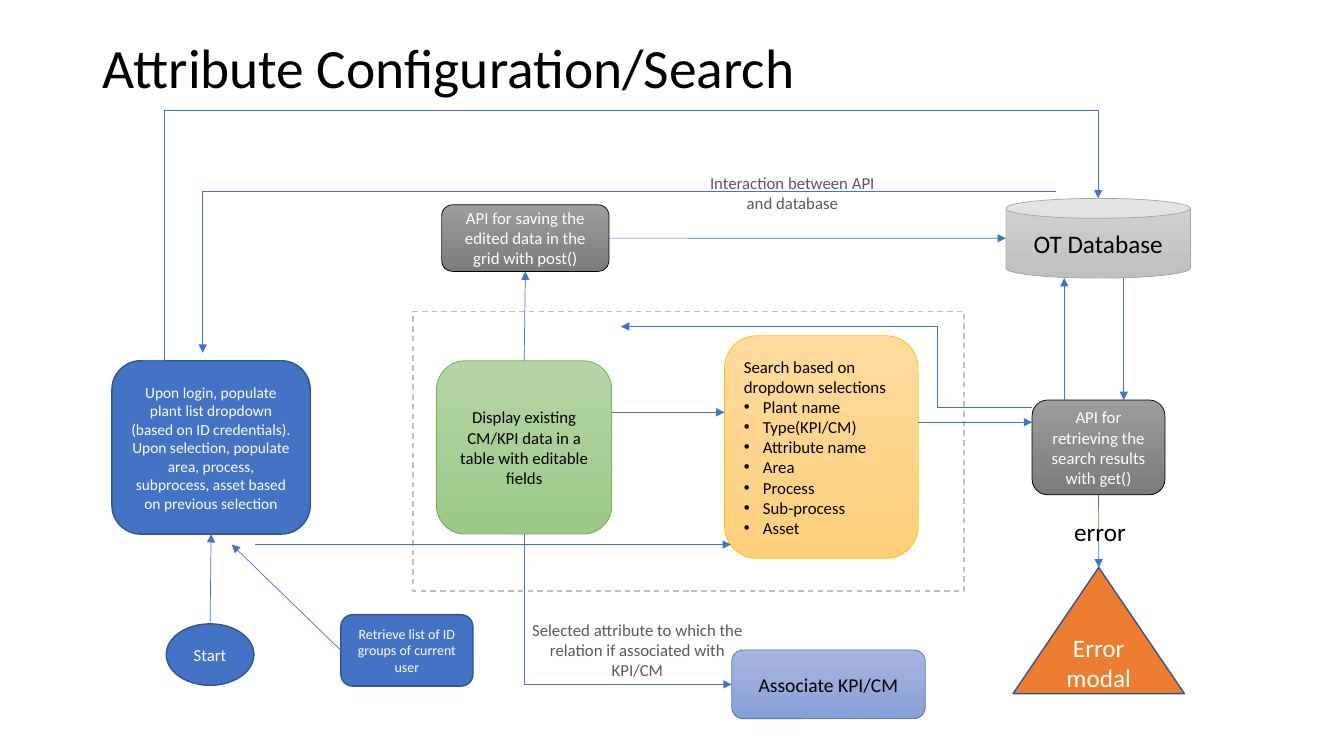
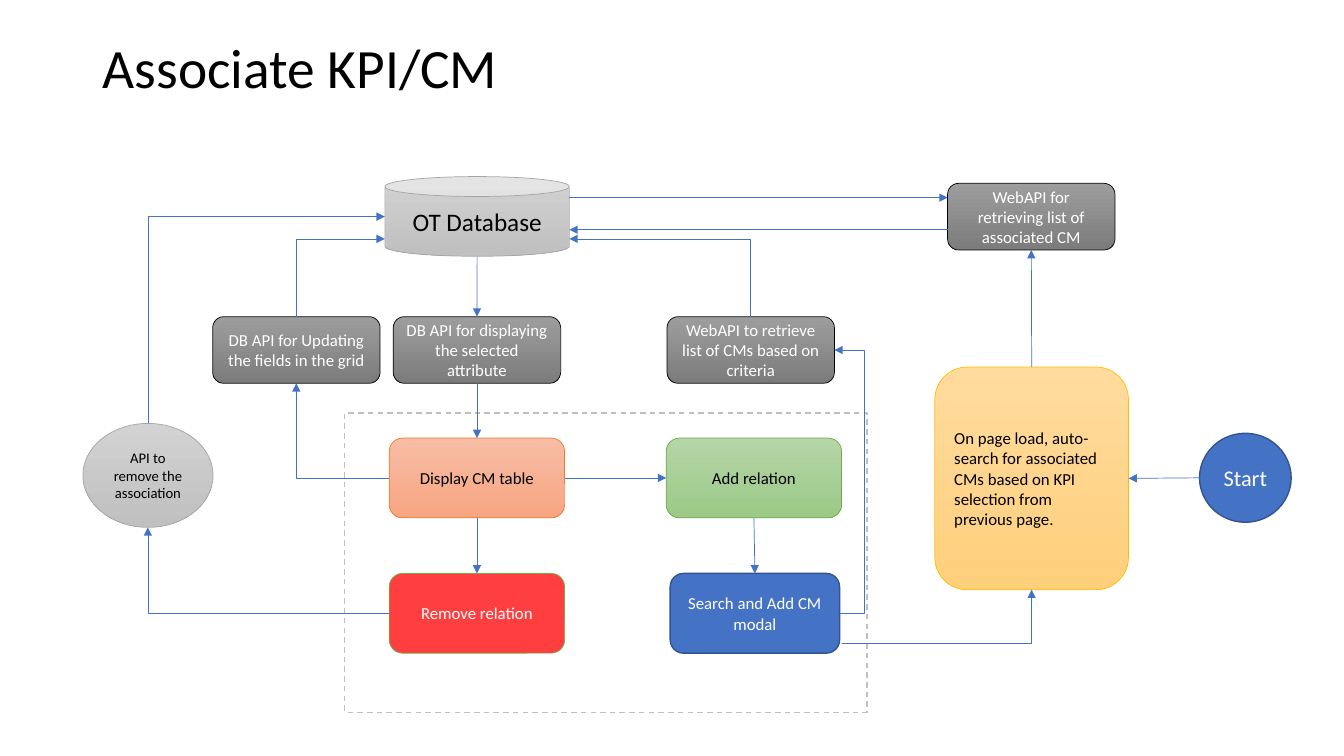
from dataclasses import dataclass

from lxml import etree
from pptx import Presentation
from pptx.dml.color import RGBColor
from pptx.enum.dml import MSO_LINE
from pptx.enum.shapes import MSO_CONNECTOR as LINK, MSO_SHAPE as SHAPE
from pptx.enum.text import MSO_ANCHOR, MSO_AUTO_SIZE, PP_ALIGN
from pptx.oxml.ns import qn
from pptx.util import Cm, Pt


@dataclass(frozen=True)
class Theme:
    font: str = "Calibri"
    black: str = "000000"
    white: str = "FFFFFF"
    muted: str = "595959"
    accent: str = "4472C4"
    accent_edge: str = "325491"
    frame: str = "BFBFBF"
    green: tuple = ("B5D5A7", "9CC987")
    green_edge: str = "70AD47"
    amber: tuple = ("FFDB9E", "FFD07C")
    amber_edge: str = "FFC000"
    silver: tuple = ("D2D2D2", "C0C0C0")
    silver_edge: str = "A5A5A5"
    slate: tuple = ("9D9D9D", "7C7C7C")
    lilac: tuple = ("A8B7DF", "889ED7")
    peach: tuple = ("F7BDA5", "F8A582")
    orange: str = "ED7D31"
    red: str = "FF3F3F"
    title: float = 39.6
    large: float = 18
    medium: float = 16
    label: float = 14
    body: float = 12
    dense: float = 11
    compact: float = 10.5
    small: float = 10
    thin: float = 0.5
    thick: float = 1


T = Theme()
ROUND, API_BOX = SHAPE.ROUNDED_RECTANGLE, SHAPE.FLOWCHART_ALTERNATE_PROCESS
SIDES = {"t": (0.5, 0), "l": (0, 0.5), "b": (0.5, 1), "r": (1, 0.5)}

STYLES = {
    "database": (SHAPE.CAN, T.silver, T.silver_edge, T.thin, T.black),
    "remote": (SHAPE.OVAL, T.silver, T.silver_edge, T.thin, T.black),
    "api": (API_BOX, T.slate, T.black, T.thin, T.white),
    "link": (API_BOX, T.lilac, T.accent, T.thin, T.black),
    "edit": (ROUND, T.green, T.green_edge, T.thin, T.black),
    "search": (ROUND, T.amber, T.amber_edge, T.thin, T.black),
    "table": (ROUND, T.peach, T.orange, T.thin, T.black),
    "remove": (ROUND, T.red, T.green_edge, T.thin, T.white),
    "step": (ROUND, T.accent, T.accent_edge, T.thick, T.white),
    "start": (SHAPE.OVAL, T.accent, T.accent_edge, T.thick, T.white),
    "error": (SHAPE.ISOSCELES_TRIANGLE, T.orange, T.accent_edge, T.thick, T.white),
}
DB_SIZE, API_SIZE = (4.65, 2.01), (4.22, 1.68)
SEARCH_SIZE, ACTION_SIZE = (4.88, 5.61), (4.42, 2.01)

SLIDES = [
    {
        "title": "Attribute Configuration/Search",
        "frame": (10.41, 7.85, 13.89, 7.04),
        "nodes": {
            "display": ("edit", (11, 9.09), (4.42, 4.37), T.body,
                        ["Display existing CM/KPI data in a table with editable fields"]),
            "search": ("search", (18.26, 8.46), SEARCH_SIZE, T.body,
                       ["Search based on dropdown selections", "Plant name", "Type(KPI/CM)",
                        "Attribute name", "Area", "Process", "Sub-process", "Asset"]),
            "db": ("database", (25.35, 5), DB_SIZE, T.large, ["OT Database"]),
            "get": ("api", (26.01, 10.08), (3.35, 2.39), T.body,
                    ["API for retrieving the search results with get()"]),
            "post": ("api", (11.13, 5.16), API_SIZE, T.body,
                     ["API for saving the edited data in the grid with post()"]),
            "associate": ("link", (18.44, 16.38), (4.88, 1.73), T.label, ["Associate KPI/CM"]),
            "login": ("step", (2.82, 9.09), (5, 4.37), T.dense,
                      ["Upon login, populate plant list dropdown (based on ID credentials). "
                       "Upon selection, populate area, process, subprocess, asset based on "
                       "previous selection"]),
            "modal": ("error", (25.53, 14.3), (4.32, 3.18), T.large, ["Error modal"]),
            "start": ("start", (4.19, 15.72), (2.21, 1.55), T.body, ["Start"]),
            "groups": ("step", (8.59, 15.49), (3.33, 1.8), T.small,
                       ["Retrieve list of ID groups of current user"]),
        },
        "straight": [
            (("display", "t"), ("post", "b")),
            (("post", "r"), ("db", "l")),
            (("get", "t", 26.82), ("db", "b", 26.82)),
            (("db", "b", 28.32), ("get", "t", 28.32)),
            (("search", "r", 10.64), ("get", "l", 10.64)),
            (("display", "r", 10.39), ("search", "l", 10.39)),
            ((6.43, 13.72), (18.42, 13.72)),
            (("get", "b"), ("modal", "t")),
            (("start", "t"), ("login", "b")),
            (("groups", "l"), (5.84, 13.72)),
        ],
        "elbow": [
            (("display", "b"), ("associate", "l")),
            ((3.61, 9.09), ("db", "t"), 4.14, 2.79),
            ((26.62, 4.83), (5.11, 8.89)),
            (("get", "l", 10.26), (15.65, 8.23), 23.62),
        ],
        "notes": [
            ("Interaction between API and database", (17.53, 4.22, 4.88, 1.27),
             T.body, T.muted, True),
            ("Selected attribute to which the relation if associated with KPI/CM",
             (13.03, 15.49, 6.07, 1.8), T.body, T.muted, True),
            ("error", (26.82, 12.88, 1.83, 1.02), T.large, T.black, False),
        ],
    },
    {
        "title": "Associate KPI/CM",
        "frame": (8.69, 10.41, 13.16, 7.54),
        "nodes": {
            "db": ("database", (9.7, 4.45), DB_SIZE, T.large, ["OT Database"]),
            "table": ("table", (9.81, 11.04), ACTION_SIZE, T.body, ["Display CM table"]),
            "show": ("api", (9.91, 7.98), API_SIZE, T.body,
                     ["DB API for displaying the selected attribute"]),
            "load": ("search", (23.56, 9.25), SEARCH_SIZE, T.body,
                     ["On page load, auto-search for associated CMs based on KPI selection "
                      "from previous page."]),
            "list": ("api", (23.88, 4.62), API_SIZE, T.body,
                     ["WebAPI for retrieving list of associated CM"]),
            "add": ("edit", (16.79, 11.04), ACTION_SIZE, T.body, ["Add relation"]),
            "remove": ("remove", (9.81, 14.45), ACTION_SIZE, T.body, ["Remove relation"]),
            "remover": ("remote", (2.09, 10.67), (3.28, 2.62), T.compact,
                        ["API to remove the association"]),
            "update": ("api", (5.36, 7.98), API_SIZE, T.body,
                       ["DB API for Updating the fields in the grid"]),
            "start": ("start", (30.23, 10.92), (2.31, 2.24), T.medium, ["Start"]),
            "modal": ("step", (16.89, 14.45), (4.27, 2.01), T.body,
                      ["Search and Add CM modal"]),
            "criteria": ("api", (16.81, 7.98), API_SIZE, T.body,
                         ["WebAPI to retrieve list of CMs based on criteria"]),
        },
        "straight": [
            (("load", "t"), ("list", "b")),
            (("table", "r"), ("add", "l")),
            (("table", "b"), ("remove", "t")),
            (("db", "b"), ("show", "t")),
            (("show", "b"), ("table", "t")),
            (("db", "r", 4.98), ("list", "l", 4.98)),
            (("list", "l", 5.79), ("db", "r", 5.79)),
            (("start", "l"), ("load", "r")),
            (("add", "b"), ("modal", "t")),
        ],
        "elbow": [
            (("remove", "l"), ("remover", "b")),
            (("table", "l"), ("update", "b")),
            (("update", "t"), ("db", "l", 6.02)),
            (("remover", "t"), ("db", "l", 5.46)),
            (("modal", "r"), ("criteria", "r"), 21.79),
            (("criteria", "t"), ("db", "r", 6.02)),
            ((21.21, 16.21), ("load", "b")),
        ],
        "notes": [],
    },
]


def rgb(value):
    return RGBColor.from_string(value)


def set_all(target, values):
    for name, value in values.items():
        setattr(target, name, value)


def write(p, words, size, color, align):
    p.alignment = align
    r = p.add_run()
    r.text = words
    set_all(r.font, {"name": T.font, "size": Pt(size)})
    r.font.color.rgb = rgb(color)


def add_bullet(p):
    props = p._p.get_or_add_pPr()
    indent = Cm(0.48)
    props.set("marL", str(indent))
    props.set("indent", str(-indent))
    etree.SubElement(props, qn("a:buFont"), typeface="Arial")
    etree.SubElement(props, qn("a:buChar"), char="•")


def set_line(line, color, width):
    line.color.rgb = rgb(color)
    line.width = Pt(width)


def add_title(s, words):
    title = s.shapes.title
    set_all(title, {"left": Cm(2.34), "top": Cm(0.99), "width": Cm(29.21), "height": Cm(1.55)})
    tf = title.text_frame
    set_all(tf, {"vertical_anchor": MSO_ANCHOR.MIDDLE, "auto_size": MSO_AUTO_SIZE.NONE,
                 "word_wrap": True})
    tf.paragraphs[0].line_spacing = 0.9
    write(tf.paragraphs[0], words, T.title, T.black, PP_ALIGN.LEFT)


def add_frame(s, box):
    sp = s.shapes.add_shape(SHAPE.RECTANGLE, *map(Cm, box))
    sp.shadow.inherit = False
    sp.fill.background()
    set_line(sp.line, T.frame, T.thick)
    sp.line.dash_style = MSO_LINE.DASH


def add_node(s, style, place, size, points, lines):
    preset, fill, edge, width, color = STYLES[style]
    sp = s.shapes.add_shape(preset, *map(Cm, place + size))
    sp.shadow.inherit = False
    if isinstance(fill, tuple):
        sp.fill.gradient()
        sp.fill.gradient_angle = 270
        for stop, tone in zip(sp.fill.gradient_stops, fill):
            stop.color.rgb = rgb(tone)
    else:
        sp.fill.solid()
        sp.fill.fore_color.rgb = rgb(fill)
    set_line(sp.line, edge, width)
    tf = sp.text_frame
    set_all(tf, {"word_wrap": True, "vertical_anchor": MSO_ANCHOR.MIDDLE})
    align = PP_ALIGN.LEFT if style == "search" else PP_ALIGN.CENTER
    for i, words in enumerate(lines):
        p = tf.add_paragraph() if i else tf.paragraphs[0]
        if i:
            add_bullet(p)
        write(p, words, points, color, align)
    return sp


def locate(end, shapes):
    if end[0] not in shapes:
        return Cm(end[0]), Cm(end[1])
    sp, side = shapes[end[0]], end[1]
    fx, fy = SIDES[side]
    x, y = int(sp.left + fx * sp.width), int(sp.top + fy * sp.height)
    if len(end) == 3:
        return (Cm(end[2]), y) if side in "tb" else (x, Cm(end[2]))
    return x, y


def add_arrow(s, kind, start, end, tip):
    link = s.shapes.add_connector(kind, *start, *end)
    set_line(link.line, T.accent, T.thin)
    etree.SubElement(link.line._get_or_add_ln(), qn("a:" + tip), type="triangle")
    etree.SubElement(link._element.spPr, qn("a:effectLst"))
    return link


def add_straight(s, shapes, start, end):
    link = add_arrow(s, LINK.STRAIGHT, locate(start, shapes), locate(end, shapes), "tailEnd")
    for connect, joint in ((link.begin_connect, start), (link.end_connect, end)):
        sp = shapes.get(joint[0])
        if sp is not None and len(joint) == 2 and sp.auto_shape_type in (ROUND, API_BOX):
            connect(sp, list(SIDES).index(joint[1]))


def add_elbow(s, shapes, start, end, *bends):
    first, last, tip = locate(start, shapes), locate(end, shapes), "tailEnd"
    if start[1] in ("t", "b"):
        first, last, tip = last, first, "headEnd"
    link = add_arrow(s, LINK.ELBOW, first, last, tip)
    geometry = link._element.spPr.find(qn("a:prstGeom"))
    geometry.set("prst", f"bentConnector{2 + len(bends)}")
    guides = geometry.find(qn("a:avLst"))
    for i, bend in enumerate(bends):
        share = (Cm(bend) - first[i]) / (last[i] - first[i])
        etree.SubElement(guides, qn("a:gd"), name=f"adj{i + 1}" if len(bends) > 1 else "adj1",
                         fmla=f"val {round(share * 100000)}")


def add_note(s, words, box, size, color, wrap):
    tf = s.shapes.add_textbox(*map(Cm, box)).text_frame
    set_all(tf, {"word_wrap": wrap, "auto_size": MSO_AUTO_SIZE.SHAPE_TO_FIT_TEXT})
    write(tf.paragraphs[0], words, size, color, PP_ALIGN.CENTER if wrap else PP_ALIGN.LEFT)


def main():
    prs = Presentation()
    set_all(prs, {"slide_width": Cm(33.87), "slide_height": Cm(19.05)})
    for content in SLIDES:
        s = prs.slides.add_slide(prs.slide_layouts[5])
        add_title(s, content["title"])
        add_frame(s, content["frame"])
        shapes = {name: add_node(s, *node) for name, node in content["nodes"].items()}
        for ends in content["straight"]:
            add_straight(s, shapes, *ends)
        for route in content["elbow"]:
            add_elbow(s, shapes, *route)
        for note in content["notes"]:
            add_note(s, *note)
    prs.save("out.pptx")


if __name__ == "__main__":
    main()
